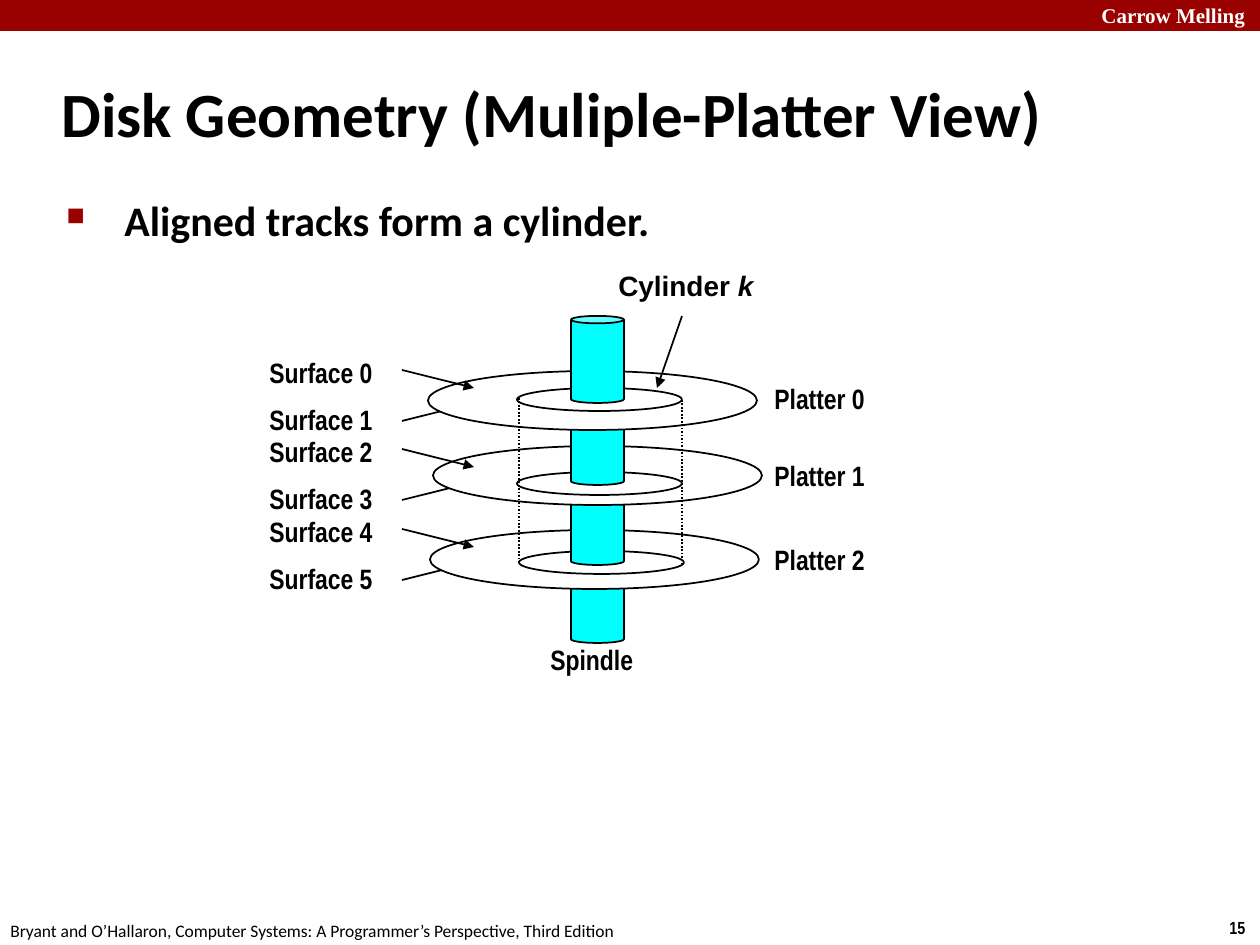
import pptx
import pptx.util
import pptx.dml.color
import pptx.enum.dml
import pptx.enum.shapes
import pptx.enum.text
import pptx.oxml.ns
import lxml.etree

RED = pptx.dml.color.RGBColor(0x99, 0x00, 0x00)
CYAN = pptx.dml.color.RGBColor(0x00, 0xFF, 0xFF)
BLACK = pptx.dml.color.RGBColor(0x00, 0x00, 0x00)
WHITE = pptx.dml.color.RGBColor(0xFF, 0xFF, 0xFF)

SHAPE = pptx.enum.shapes.MSO_SHAPE
ANCHOR = pptx.enum.text.MSO_ANCHOR
FIT = pptx.enum.text.MSO_AUTO_SIZE
qn = pptx.oxml.ns.qn


def px(n):
    return pptx.util.Emu(round(n * 914400 / 126))


class Deck:
    label_font = "Arial Narrow"
    body_font = "Calibri"
    label_height = 47

    def __init__(self, width, height):
        self.prs = pptx.Presentation()
        self.prs.slide_width = px(width)
        self.prs.slide_height = px(height)
        self.s = self.prs.slides.add_slide(self.prs.slide_layouts[6])

    def shape(self, kind, x, y, w, h, fill=None, line=BLACK):
        sp = self.s.shapes.add_shape(kind, px(x), px(y), px(w), px(h))
        sp.shadow.inherit = False
        if fill is None:
            sp.fill.background()
        else:
            sp.fill.solid()
            sp.fill.fore_color.rgb = fill
        if line is None:
            sp.line.fill.background()
        else:
            sp.line.color.rgb = line
            sp.line.width = pptx.util.Pt(1)
        return sp

    def text(self, text, x, y, w, h, size, font, bold=True, color=BLACK,
             anchor=ANCHOR.TOP, wrap=False, fit=FIT.SHAPE_TO_FIT_TEXT):
        tf = self.s.shapes.add_textbox(px(x), px(y), px(w), px(h)).text_frame
        tf.word_wrap = wrap
        tf.auto_size = fit
        tf.vertical_anchor = anchor
        p = tf.paragraphs[0]
        p.text = text
        p.font.size = pptx.util.Pt(size)
        p.font.name = font
        p.font.bold = bold
        p.font.color.rgb = color
        return p

    def label(self, text, x, y, w, font=label_font):
        return self.text(text, x, y, w, self.label_height, 16, font, anchor=ANCHOR.MIDDLE)

    def bullet(self, p, indent):
        p.space_before = pptx.util.Pt(4.8)
        pPr = p._p.get_or_add_pPr()
        pPr.set("marL", str(px(indent)))
        pPr.set("indent", str(-px(indent)))
        color = lxml.etree.Element(qn("a:buClr"))
        lxml.etree.SubElement(color, qn("a:srgbClr"), val=str(RED))
        size = lxml.etree.Element(qn("a:buSzPct"), val="60000")
        char = lxml.etree.Element(qn("a:buChar"), char="■")
        at = list(pPr).index(pPr.find(qn("a:spcBef"))) + 1
        pPr[at:at] = [color, size, char]

    def line(self, x1, y1, x2, y2, arrow=True):
        c = self.s.shapes.add_connector(
            pptx.enum.shapes.MSO_CONNECTOR.STRAIGHT, px(x1), px(y1), px(x2), px(y2))
        c.line.color.rgb = BLACK
        c.line.width = pptx.util.Pt(1)
        if arrow:
            lxml.etree.SubElement(c.line._get_or_add_ln(), qn("a:tailEnd"), type="triangle")
        else:
            c.line.dash_style = pptx.enum.dml.MSO_LINE.ROUND_DOT
        lxml.etree.SubElement(c._element.spPr, qn("a:effectLst"))

    def spindle(self, y):
        sp = self.shape(SHAPE.CAN, 571, y, 53, 87, CYAN)
        sp.adjustments[0] = 0.14


def main():
    deck = Deck(1260, 945)

    deck.shape(SHAPE.RECTANGLE, 0, 0, 1260, 31, RED, None)
    deck.text("Carrow Melling", 1089, -4, 180, 38, 12, "Times New Roman", color=WHITE)
    deck.text("15", 1217, 911, 43, 34, 10, deck.label_font)
    deck.text("Bryant and O’Hallaron, Computer Systems: A Programmer’s Perspective, Third Edition",
              -2, 914, 640, 34, 10, deck.body_font, bold=False)
    deck.text("Disk Geometry (Muliple-Platter View)", 49, 60, 1046, 105, 36,
              deck.body_font, anchor=ANCHOR.MIDDLE, wrap=True, fit=FIT.NONE)
    p = deck.text("Aligned tracks form a cylinder.", 54, 188, 1089, 685, 24,
                  deck.body_font, wrap=True, fit=FIT.NONE)
    deck.bullet(p, 58)

    arrow_tops = (370, 449, 529)
    for y in arrow_tops:
        deck.line(402, y + 51, 474, y + 33)

    platters = (
        (2, 430, 530, 519, 551, 556, 536),
        (1, 433, 446, 517, 472, 478, 452),
        (0, 428, 371, 517, 388, 398, 375),
    )
    for n, x, y, track_x, track_y, spindle_y, label_y in platters:
        deck.spindle(spindle_y)
        deck.shape(SHAPE.OVAL, x, y, 329, 59, WHITE)
        deck.shape(SHAPE.OVAL, track_x, track_y, 165, 23)
        deck.label(f"Platter {n}", 762, label_y, 117)
    deck.spindle(316)

    for n, y in enumerate(arrow_tops):
        deck.line(402, y, 474, y + 18)
        deck.label(f"Surface {2 * n}", 257, y - 21, 130)
        deck.label(f"Surface {2 * n + 1}", 257, y + 26, 130)

    deck.line(519, 398, 519, 563, arrow=False)
    deck.line(682, 400, 682, 564, arrow=False)

    p = deck.label("Cylinder ", 606, 262, 164, "Arial")
    r = p.add_run()
    r.text = "k"
    r.font.italic = True
    deck.line(682, 316, 657, 388)
    deck.label("Spindle", 538, 636, 110)

    deck.prs.save("out.pptx")


if __name__ == "__main__":
    main()
